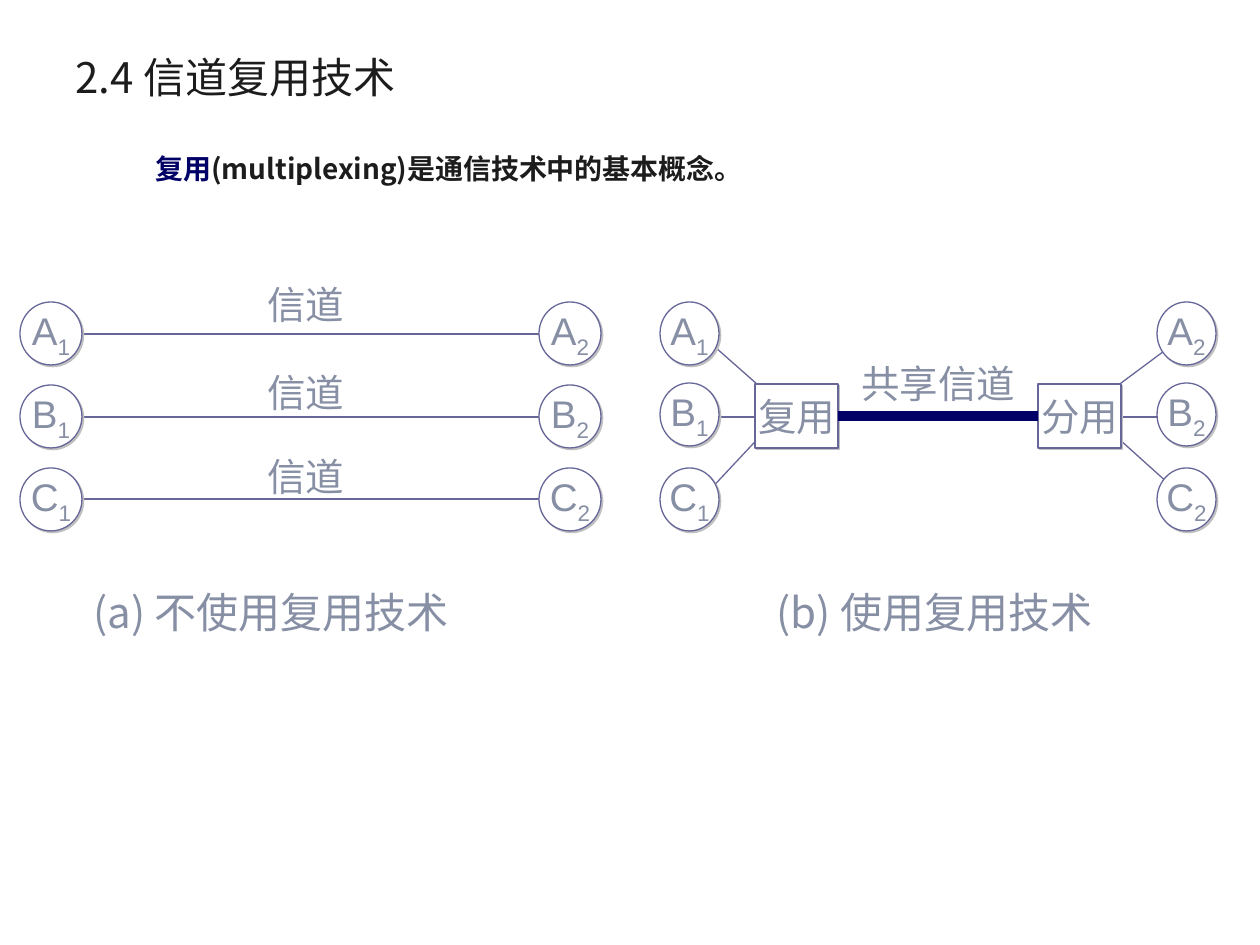
"""Build a slide comparing separate channels with a multiplexed shared channel."""
from lxml.etree import SubElement
from pptx import Presentation
from pptx.dml.color import RGBColor
from pptx.enum.shapes import MSO_CONNECTOR, MSO_SHAPE
from pptx.enum.text import MSO_ANCHOR, MSO_AUTO_SIZE, PP_ALIGN
from pptx.oxml.ns import qn
from pptx.util import Pt

EMU = 914400 / 126
COLORS = {"ink": "1C1C1C", "navy": "000066", "line": "666699",
          "label": "878FA5", "white": "FFFFFF", "shadow": "C0C0C0"}
CJK = "Noto Sans CJK SC"


def write(sp, runs, size, frame, font=CJK, align=PP_ALIGN.LEFT):
    tf = sp.text_frame
    for name, value in frame.items():
        setattr(tf, name, value)
    p = tf.paragraphs[0]
    p.alignment = align
    for text, color, extra in runs:
        r = p.add_run()
        r.text = text
        r.font.color.rgb = RGBColor.from_string(COLORS[color])
        for name, value in {"name": font, "size": Pt(size), **extra}.items():
            setattr(r.font, name, value)
        SubElement(r.font._element, qn("a:ea"), typeface=CJK)
    return p


def connect(x1, y1, x2, y2, color="line", width=0.75):
    cn = s.shapes.add_connector(MSO_CONNECTOR.STRAIGHT,
                                *[round(v * EMU) for v in (x1, y1, x2, y2)])
    cn.line.color.rgb = RGBColor.from_string(COLORS[color])
    cn.line.width = Pt(width)
    SubElement(cn._element.spPr, qn("a:effectLst"))
    return cn


prs = Presentation()
prs.slide_width, prs.slide_height = round(1260 * EMU), round(945 * EMU)
s = prs.slides.add_slide(prs.slide_layouts[6])

for y in (334, 417, 499):
    connect(82, y, 551, y)
connect(718, 417, 1168, 417)
for outer, inner in ((707, 766), (1179, 1109)):
    connect(outer, 340, inner, 392)
    connect(outer, 493, inner, 430)

nodes = []
for left, right, w, rows in ((20, 539, 62, (302, 385, 468)),
                             (660, 1157, 59, (302, 383, 468))):
    for letter, y in zip("ABC", rows):
        for number, x in (("1", left), ("2", right)):
            runs = [(letter, "label", {}), (number, "label", {})]
            nodes.append((MSO_SHAPE.OVAL, x, y, w, 63, runs, "Arial"))
for text, x in (("复用", 755), ("分用", 1038)):
    nodes.append((MSO_SHAPE.RECTANGLE, x, 384, 83, 64, [(text, "label", {})], CJK))

boxes = []
for kind, x, y, w, h, runs, font in nodes:
    sp = s.shapes.add_shape(kind, *[round(v * EMU) for v in (x, y, w, h)])
    sp.shadow.inherit = False
    sp.fill.solid()
    sp.fill.fore_color.rgb = RGBColor.from_string(COLORS["white"])
    sp.line.color.rgb = RGBColor.from_string(COLORS["line"])
    sp.line.width = Pt(0.75)
    effects = sp._element.spPr.find(qn("a:effectLst"))
    shadow = SubElement(effects, qn("a:outerShdw"), dist=str(Pt(1.4)), dir="2700000")
    SubElement(shadow, qn("a:srgbClr"), val=COLORS["shadow"])
    p = write(sp, runs, 22, {"word_wrap": False, "vertical_anchor": MSO_ANCHOR.MIDDLE},
              font, PP_ALIGN.CENTER)
    if kind == MSO_SHAPE.OVAL:
        p.runs[1].font._element.set("baseline", "-25000")
    else:
        boxes.append(sp)

mux, demux = boxes
trunk = connect(838, 416, 1038, 416, "navy", 6)
trunk.begin_connect(mux, 3)
trunk.end_connect(demux, 1)

label = {"word_wrap": False, "auto_size": MSO_AUTO_SIZE.SHAPE_TO_FIT_TEXT}
block = {"word_wrap": True}
title = {"word_wrap": True, "vertical_anchor": MSO_ANCHOR.MIDDLE}
texts = [(255, y, 102, 59, 22, label, [("信道", "label", {})]) for y in (275, 363, 447)]
texts += [
    (849, 354, 179, 59, 22, label, [("共享信道", "label", {})]),
    (81, 580, 430, 63, 24, label, [("(a) 不使用复用技术", "label", {})]),
    (764, 580, 380, 63, 24, label, [("(b) 使用复用技术", "label", {})]),
    (63, 38, 1134, 77, 24, title, [("2.4 信道复用技术", "ink", {})]),
    (95, 145, 1101, 567, 16, block,
     [("复用", "navy", {"bold": True}),
      ("(multiplexing)是通信技术中的基本概念。", "ink", {"bold": True})]),
]
for x, y, w, h, size, frame, runs in texts:
    sp = s.shapes.add_textbox(*[round(v * EMU) for v in (x, y, w, h)])
    p = write(sp, runs, size, frame)
    if frame is block:
        pPr = p._p.get_or_add_pPr()
        pPr.set("marL", str(round(48 * EMU)))
        pPr.set("indent", "0")

prs.save("out.pptx")
